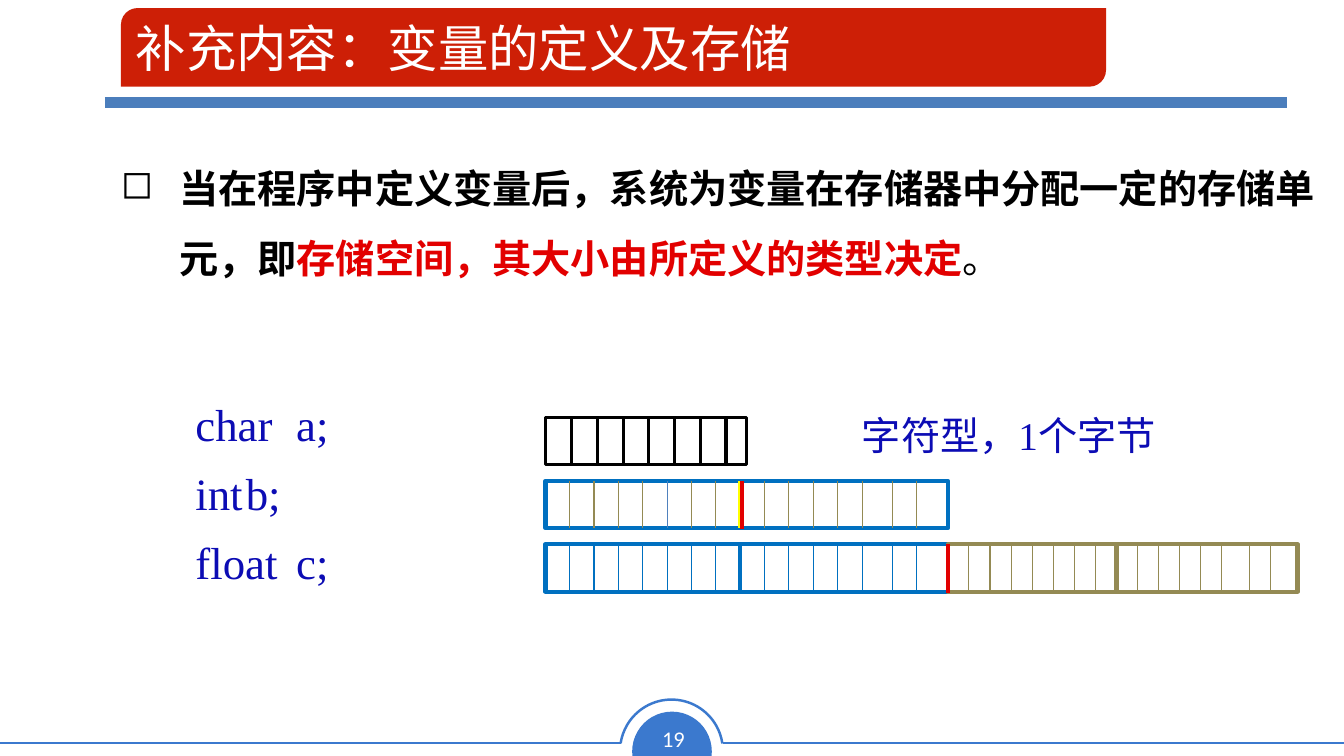
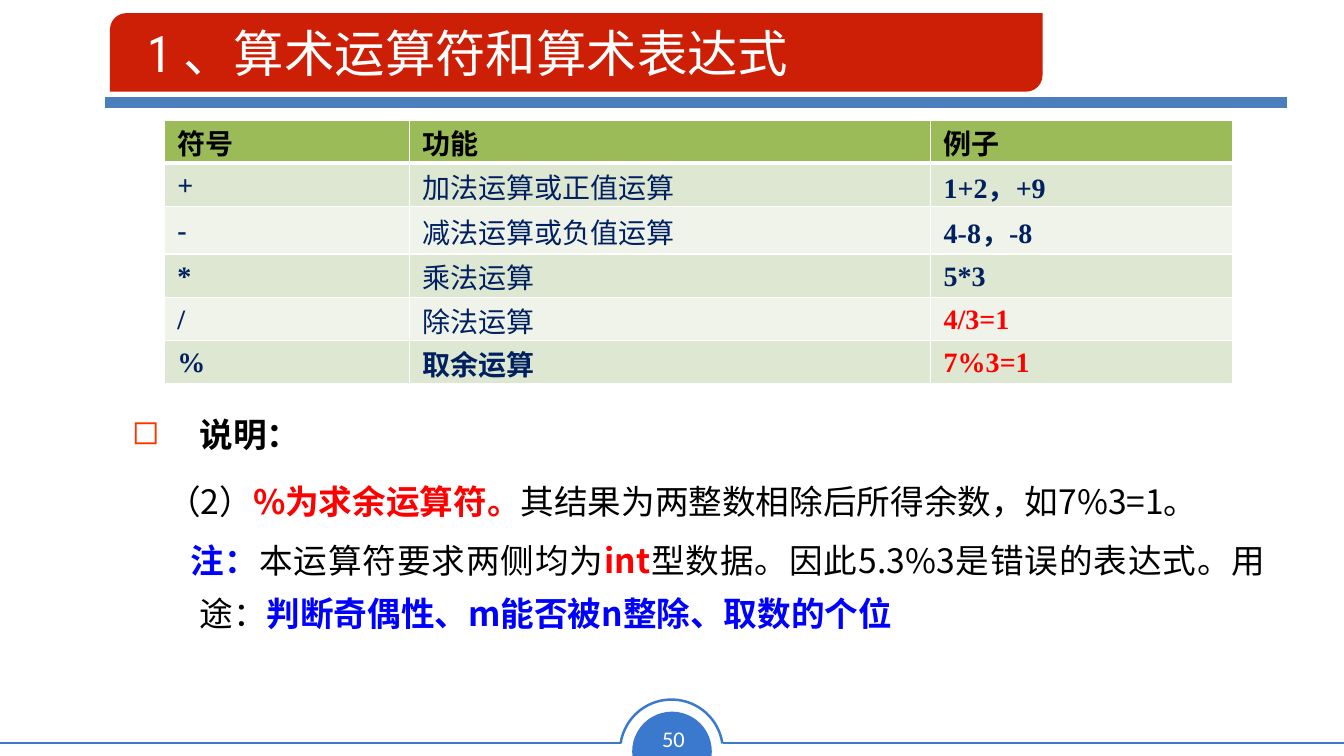
from lxml import etree
from pptx import Presentation
from pptx.dml.color import RGBColor
from pptx.enum.shapes import MSO_CONNECTOR, MSO_SHAPE
from pptx.enum.text import MSO_ANCHOR, PP_ALIGN
from pptx.oxml.ns import qn
from pptx.util import Inches, Pt

STRAIGHT = MSO_CONNECTOR.STRAIGHT
RECTANGLE, BAND = MSO_SHAPE.RECTANGLE, MSO_SHAPE.ROUND_2_DIAG_RECTANGLE
ARC, CHORD = MSO_SHAPE.ARC, MSO_SHAPE.CHORD
MIDDLE = MSO_ANCHOR.MIDDLE
LEFT, CENTER, JUSTIFY = PP_ALIGN.LEFT, PP_ALIGN.CENTER, PP_ALIGN.JUSTIFY

BLACK = RGBColor(0x00, 0x00, 0x00)
WHITE = RGBColor(0xFF, 0xFF, 0xFF)
TITLE_RED = RGBColor(0xCD, 0x1F, 0x06)
RULE_BLUE = RGBColor(0x4B, 0x7E, 0xBC)
FOOTER_BLUE = RGBColor(0x3B, 0x79, 0xCE)
CODE_BLUE = RGBColor(0x0C, 0x0C, 0xB4)
CELL_BLUE = RGBColor(0x00, 0x70, 0xC0)
TICK_BLUE = RGBColor(0x4F, 0x81, 0xBD)
KHAKI = RGBColor(0x94, 0x8A, 0x54)
YELLOW = RGBColor(0xFF, 0xFF, 0x00)
DEEP_RED = RGBColor(0xE2, 0x00, 0x00)
RED = RGBColor(0xFF, 0x00, 0x00)
BLUE = RGBColor(0x00, 0x00, 0xFF)
ORANGE = RGBColor(0xFF, 0x33, 0x00)
NAVY = RGBColor(0x00, 0x20, 0x60)
HEADER_GREEN = RGBColor(0x9B, 0xBB, 0x59)
ROW_GREENS = (RGBColor(0xDE, 0xE7, 0xD1), RGBColor(0xEF, 0xF3, 0xEA))

SANS, SERIF = "Noto Sans CJK SC", "Times New Roman"
NUMBER_FONT, NARROW = "Calibri", "Roboto Condensed"


class Lecture:
    """Holds the shared style and the slide being built."""

    def __init__(self):
        self.deck = Presentation()
        self.deck.slide_width = Inches(13.33)
        self.deck.slide_height = Inches(7.5)
        self.shapes = None

    def page(self, number, title, left, top, width, inset=0.1, font=SANS):
        blank = self.deck.slide_layouts[6]
        self.shapes = self.deck.slides.add_slide(blank).shapes
        # Footer
        disc = self.shape(CHORD, 6.27, 7.06, 0.79, 0.79, fill=FOOTER_BLUE)
        disc.adjustments[0], disc.adjustments[1] = 35.77, 153.29
        disc.rotation = 112.4
        for start, end in ((7.17, 13.33), (0, 6.16)):
            self.line(start, 7.37, end, 7.37, FOOTER_BLUE, 1.77)
        arch = self.shape(ARC, 6.15, 6.94, 1.02, 1.02, line=FOOTER_BLUE, weight=1.77)
        arch.adjustments[0], arch.adjustments[1] = 113.17, 210.98
        box = self.text_box(6.45, 7.14, 0.46, 0.37)
        box.word_wrap = False
        self.paragraph(box, [(str(number), WHITE, False)], 16, NUMBER_FONT, align=CENTER)
        # Title band and rule
        self.line(1.04, 1.02, 12.76, 1.02, RULE_BLUE, 8)
        band = self.shape(BAND, left, top, width, 0.78, fill=TITLE_RED)
        band.adjustments[0], band.adjustments[1] = 0.21, 0
        box = band.text_frame
        box.word_wrap = True
        box.vertical_anchor = MIDDLE
        box.margin_left = Inches(inset)
        self.paragraph(box, [(title, WHITE, False)], 36, font)

    def shape(self, kind, left, top, width, height, fill=None, line=None,
              weight=1, parent=None):
        shape = (parent or self.shapes).add_shape(
            kind, Inches(left), Inches(top), Inches(width), Inches(height))
        shape.shadow.inherit = False
        if fill is None:
            shape.fill.background()
        else:
            shape.fill.solid()
            shape.fill.fore_color.rgb = fill
        if line is None:
            shape.line.fill.background()
        else:
            shape.line.color.rgb = line
            shape.line.width = Pt(weight)
        return shape

    def line(self, x1, y1, x2, y2, color, weight, parent=None):
        line = (parent or self.shapes).add_connector(
            STRAIGHT, Inches(x1), Inches(y1), Inches(x2), Inches(y2))
        line.line.color.rgb = color
        line.line.width = Pt(weight)
        etree.SubElement(line._element.spPr, qn("a:effectLst"))

    def text_box(self, left, top, width, height):
        box = self.shapes.add_textbox(
            Inches(left), Inches(top), Inches(width), Inches(height)).text_frame
        box.word_wrap = True
        return box

    def paragraph(self, box, spans, size, font=SANS, align=LEFT, pitch=None,
                  before=0, margin=0, first=0, bullet=None, bullet_color=None, tab=None):
        """Add a paragraph; margin and first are the left edges of its lines."""
        para = box.paragraphs[0]
        if para.runs:
            para = box.add_paragraph()
        props = para._p.get_or_add_pPr()
        props.set("marL", str(Inches(margin)))
        props.set("indent", str(Inches(first) - Inches(margin)))
        if bullet_color is not None:
            color = etree.SubElement(props, qn("a:buClr"))
            etree.SubElement(color, qn("a:srgbClr"), val=str(bullet_color))
        if bullet:
            etree.SubElement(props, qn("a:buChar"), char=bullet)
        if tab:
            tabs = etree.SubElement(props, qn("a:tabLst"))
            etree.SubElement(tabs, qn("a:tab"), pos=str(Inches(tab)), algn="l")
        para.alignment = align
        if pitch:
            para.line_spacing = Pt(pitch)
        if before:
            para.space_before = Pt(before)
        for text, color, bold in spans:
            span = para.add_run()
            span.text = text
            span.font.size = Pt(size)
            span.font.bold = bold
            span.font.color.rgb = color
            span.font.name = font
            etree.SubElement(span._r.get_or_add_rPr(), qn("a:ea"), typeface=SANS)

    def memory(self, left, top, width, ticks, color, weight, tick_color,
               tick_weight, special=None):
        """Draw storage cells; special maps a tick number to colour and weight."""
        group = self.shapes.add_group_shape().shapes
        self.shape(RECTANGLE, left, top, width, 0.47, line=color, weight=weight, parent=group)
        for number, x in enumerate(ticks, 1):
            style = (special or {}).get(number, (tick_color, tick_weight))
            self.line(x, top, x, top + 0.47, *style, parent=group)

    def table(self, left, top, columns, heights, rows):
        """Each row is a list of (text, colour, bold, font)."""
        frame = self.shapes.add_table(
            len(rows), len(columns), Inches(left), Inches(top),
            Inches(sum(columns)), Inches(sum(heights)))
        grid = frame.table
        grid.horz_banding = False
        for column, width in zip(grid.columns, columns):
            column.width = Inches(width)
        for r, cells in enumerate(rows):
            grid.rows[r].height = Inches(heights[r])
            for c, (text, color, bold, font) in enumerate(cells):
                cell = grid.cell(r, c)
                cell.vertical_anchor = MIDDLE
                cell.margin_left = cell.margin_right = Inches(0.13)
                cell.margin_top, cell.margin_bottom = Inches(0.02), 0
                cell.fill.solid()
                cell.fill.fore_color.rgb = ROW_GREENS[(r - 1) % 2] if r else HEADER_GREEN
                self.paragraph(cell.text_frame, [(text, color, bold)], 20, font)
                self.borders(cell, 3 if r == 1 else 1, 3 if r == 0 else 1)

    def borders(self, cell, top, bottom):
        props = cell._tc.get_or_add_tcPr()
        weights = (("lnL", 1), ("lnR", 1), ("lnT", top), ("lnB", bottom))
        for position, (side, weight) in enumerate(weights):
            edge = etree.Element(qn("a:" + side), w=str(Pt(weight)))
            fill = etree.SubElement(edge, qn("a:solidFill"))
            etree.SubElement(fill, qn("a:srgbClr"), val=str(WHITE))
            props.insert(position, edge)


def even_ticks(first, last, count):
    step = (last - first) / (count - 1)
    return [first + step * i for i in range(count)]


def two_byte_ticks(first, last):
    """Thirteen even ticks, then two more after a slightly wider cell."""
    step = (last - first) / 12
    return even_ticks(first, last, 13) + [last + 0.06 + step * i for i in (1, 2)]


def storage_page(lecture):
    lecture.page(19, "补充内容：变量的定义及存储", 1.2, 0.08, 9.77)
    body = lecture.text_box(1.1, 1.35, 12.23, 1.6)
    lecture.paragraph(body, [
        ("当在程序中定义变量后，系统为变量在存储器中分配一定的存储单元，即", BLACK, True),
        ("存储空间，其大小由所定义的类型决定", DEEP_RED, True),
        ("。", BLACK, False)], 28, pitch=50, margin=0.58, bullet="◻")

    # Declarations
    code = lecture.text_box(1.84, 3.84, 3.2, 2.36)
    for number, text in enumerate(("char\ta;", "int\tb;", "float\tc;")):
        lecture.paragraph(code, [(text, CODE_BLUE, False)], 32, SERIF, pitch=42,
                          before=7 if number else 0, tab=1.02)
    label = lecture.text_box(8.45, 4, 4.72, 0.57)
    lecture.paragraph(label, [("字符型，1个字节", CODE_BLUE, False)], 28, SERIF, pitch=36)

    # Storage cells
    blue_ticks = two_byte_ticks(5.65, 8.55)
    lecture.memory(5.41, 4.14, 1.99, even_ticks(5.67, 7.2, 7), BLACK, 2.25, BLACK, 2.25)
    lecture.memory(5.41, 4.77, 3.99, blue_ticks, CELL_BLUE, 3, KHAKI, 0.75,
                   {5: (TICK_BLUE, 0.75), 8: (YELLOW, 3)})
    lecture.memory(5.41, 5.4, 3.99, blue_ticks, CELL_BLUE, 3, CELL_BLUE, 0.75,
                   {8: (CELL_BLUE, 3)})
    lecture.memory(9.4, 5.4, 3.47, two_byte_ticks(9.61, 12.12), KHAKI, 3, KHAKI, 0.75,
                   {8: (KHAKI, 3)})
    for x, top in ((9.4, 5.4), (7.36, 4.77)):
        lecture.line(x, top, x, top + 0.48, DEEP_RED, 3)


def operator_page(lecture):
    lecture.page(50, "1 、算术运算符和算术表达式", 1.09, 0.13, 9.25, 0.32, NARROW)

    # Operators
    operators = [
        ("+", "加法运算或正值运算", False, "1+2，+9", NAVY),
        ("-", "减法运算或负值运算", False, "4-8，-8", NAVY),
        ("*", "乘法运算", False, "5*3", NAVY),
        ("/", "除法运算", False, "4/3=1", RED),
        ("%", "取余运算", True, "7%3=1", RED)]
    rows = [[(text, BLACK, True, SANS) for text in ("符号", "功能", "例子")]]
    for symbol, use, bold, example, color in operators:
        rows.append([(symbol, NAVY, True, SERIF), (use, NAVY, bold, SANS),
                     (example, color, True, SERIF)])
    lecture.table(1.63, 1.19, (2.43, 5.17, 3), (0.43, 0.43, 0.47, 0.43, 0.43, 0.43), rows)

    # Notes
    notes = lecture.text_box(1.21, 3.93, 11.44, 2.6)
    lecture.paragraph(notes, [("说明：", BLACK, True)], 24, pitch=38, margin=0.67,
                      bullet="◻", bullet_color=ORANGE)
    lecture.paragraph(notes, [
        ("（2）", BLACK, False),
        ("%为求余运算符。", RED, True),
        ("其结果为两整数相除后所得余数，如7%3=1。", BLACK, False)],
        24, align=JUSTIFY, pitch=38, before=10, margin=0.67, first=0.35)
    lecture.paragraph(notes, [
        ("注：", BLUE, True),
        ("本运算符要求两侧均为", BLACK, False),
        ("int", RED, True),
        ("型数据。因此5.3%3是错误的表达式。用途：", BLACK, False),
        ("判断奇偶性、m能否被n整除、取数的个位", BLUE, True)],
        24, align=JUSTIFY, pitch=38, before=4, margin=0.67, first=0.58)


def main():
    lecture = Lecture()
    storage_page(lecture)
    operator_page(lecture)
    lecture.deck.save("out.pptx")


if __name__ == "__main__":
    main()
